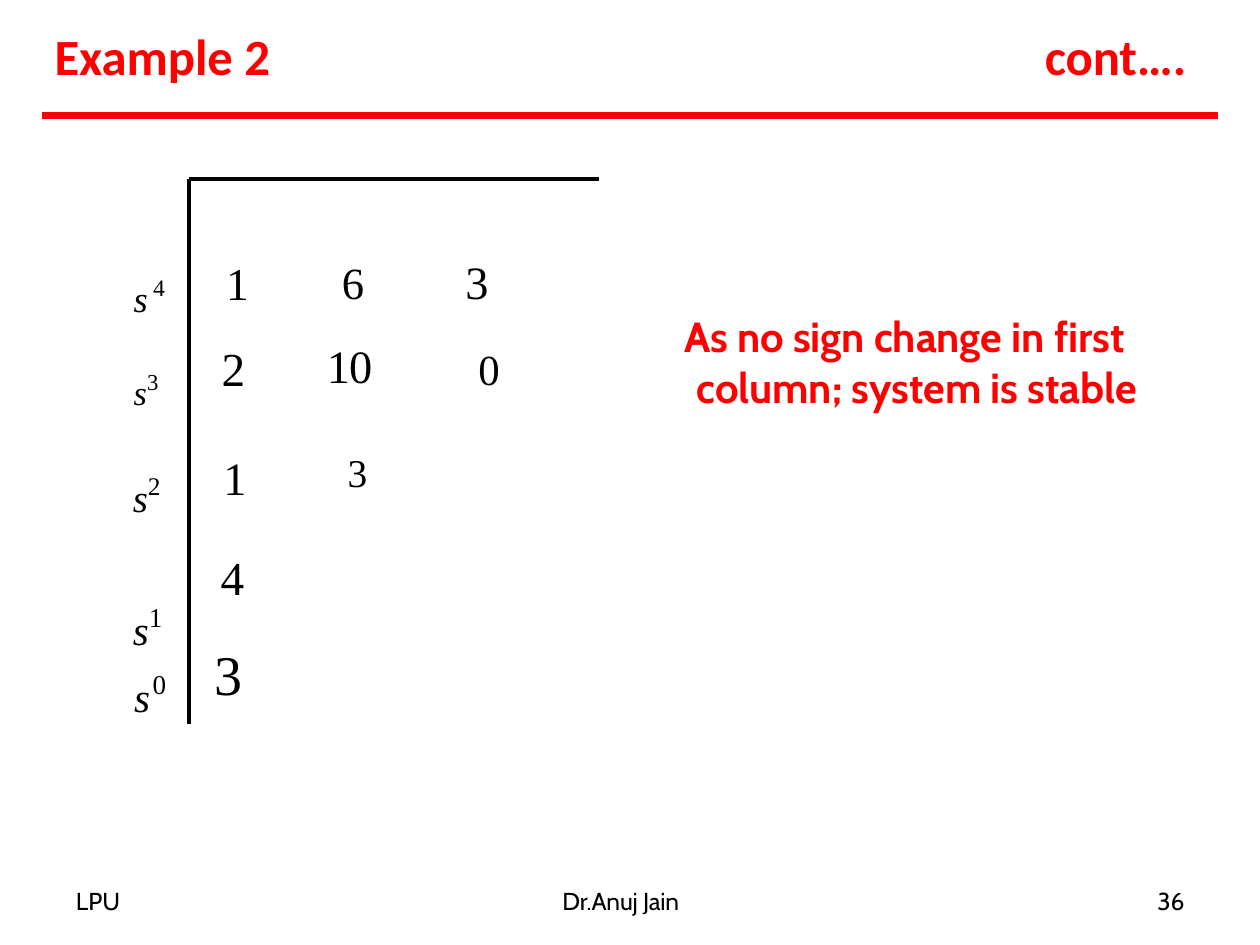
import pptx
import pptx.util
import pptx.dml.color
import pptx.enum.shapes
import pptx.enum.text
import lxml.etree

theme = {
    "red": pptx.dml.color.RGBColor(255, 0, 0),
    "black": pptx.dml.color.RGBColor(0, 0, 0),
    "heading": ("Calibri", 29),
    "note": ("Cabin", 24),
    "footer": ("Cabin", 14),
    "math": "Times New Roman",
}

deck = pptx.Presentation()
deck.slide_width = pptx.util.Inches(10)
deck.slide_height = pptx.util.Inches(7.5)
column = deck.slide_width / 100
row = deck.slide_height / 75
page = deck.slides.add_slide(deck.slide_layouts[5])


def place(box, left, top, width, height, inset=0.13):
    box.left, box.width = int(left * column), int(width * column)
    box.top, box.height = int(top * row), int(height * row)
    frame = box.text_frame
    frame.margin_left = frame.margin_right = frame.margin_bottom = 0
    frame.margin_top = int(inset * row)
    frame.word_wrap = True
    frame.auto_size = pptx.enum.text.MSO_AUTO_SIZE.NONE
    frame.vertical_anchor = pptx.enum.text.MSO_ANCHOR.TOP
    return frame


def style(para, name, size, color, bold=False, indent=0.13, before=0, spacing=0):
    para._p.get_or_add_pPr().set("marL", str(int(indent * column)))
    para.alignment = pptx.enum.text.PP_ALIGN.LEFT
    para.space_before = pptx.util.Pt(before)
    para.font.name = name
    if size:
        para.font.size = pptx.util.Pt(size)
    para.font.bold = bold
    para.font.color.rgb = color
    for span in para.runs:
        span._r.get_or_add_rPr().set("spc", str(round(spacing * 100)))


power_boxes = [
    (10.2, 18.4, 3.7, 4.3, [("4", 36, 13.5, 3.1, 0)]),
    (10.2, 26.2, 3, 4, [("3", 33.8, 13, 0.2, 0)]),
    (10.15, 33.9, 3, 11.9, [("2", 38.2, 14.5, -1.4, 0), ("1", 40.5, 15.5, -3.2, 20.9)]),
    (10.25, 49.35, 3.6, 4.8, [("0", 40.5, 15.5, 1.4, 0)]),
]
for left, top, width, height, powers in power_boxes:
    frame = place(page.shapes.add_textbox(0, 0, 0, 0), left, top, width, height)
    for index, (power, base_size, power_size, spacing, before) in enumerate(powers):
        para = frame.add_paragraph() if index else frame.paragraphs[0]
        style(para, theme["math"], None, theme["black"], indent=0.4, before=before)
        span = para.add_run()
        span.text = "s"
        span.font.size = pptx.util.Pt(base_size)
        span.font.italic = True
        properties = span._r.get_or_add_rPr()
        properties.set("baseline", "-25000")
        properties.set("spc", str(round(spacing * 100)))
        span = para.add_run()
        span.text = power
        span.font.size = pptx.util.Pt(power_size)

value_boxes = [
    (17.5, 17.85, 2.4, 13.7, 2.4, [("1", 26, 0.45, 0, -0.4), ("2", 27, 0.1, 16.6, -1.4)]),
    (25.8, 17.85, 4, 13.4, 2.4, [("6", 25.5, 1.33, 0, -2.2), ("10", 26.5, 0.15, 16.2, -0.5)]),
    (36.8, 19.95, 3.2, 11.5, 0.13, [("3", 26.5, 0.13, 0, -0.3), ("0", 24.5, 1.17, 19.6, 0.9)]),
    (17.6, 35.55, 2.3, 4.7, 0.13, [("1", 26.5, 0.13, 0, 1.4)]),
    (27.5, 35.4, 1.8, 4.1, 0.2, [("3", 22.5, 0.1, 0, -0.8)]),
    (16.9, 41.1, 2.5, 15.1, 2.4, [("4", 27, 0.6, 0, -0.9), ("3", 32, 0.1, 19.6, -3)]),
]
for left, top, width, height, inset, values in value_boxes:
    frame = place(page.shapes.add_textbox(0, 0, 0, 0), left, top, width, height, inset)
    for index, (value, size, indent, before, spacing) in enumerate(values):
        para = frame.add_paragraph() if index else frame.paragraphs[0]
        para.text = value
        style(para, theme["math"], size, theme["black"],
              indent=indent, before=before, spacing=spacing)

corner = (int(15 * column), int(14.2 * row))
outline = page.shapes.build_freeform(*corner)
outline.add_line_segments([(corner[0], int(57.5 * row))], close=False)
outline.move_to(*corner)
outline.add_line_segments([(int(47.5 * column), corner[1])], close=False)
axes = outline.convert_to_shape()
axes.fill.background()
axes.line.color.rgb = theme["black"]
axes.line.width = pptx.util.Pt(2.04)
axes.shadow.inherit = False

rule = page.shapes.add_connector(
    pptx.enum.shapes.MSO_CONNECTOR.STRAIGHT,
    int(3.3 * column), int(9.2 * row), int(96.7 * column), int(9.2 * row))
rule.line.color.rgb = theme["red"]
rule.line.width = pptx.util.Pt(3.96)
lxml.etree.SubElement(
    rule._element.spPr, "{http://schemas.openxmlformats.org/drawingml/2006/main}effectLst")

title = place(page.shapes.title, 4.2, 1.8, 17.4, 5.1)
title.text = "Example 2"
style(title.paragraphs[0], *theme["heading"], theme["red"], bold=True, spacing=-0.05)

labels = [
    ("cont….", 82.8, 1.8, 12.5, 5.1, "heading", "red", True, 0.13, -0.1),
    ("As no sign change in first column; system is stable",
     54.2, 24.55, 42.5, 8.3, "note", "red", True, 1.1, -0.05),
    ("LPU", 5.9, 70.2, 9.2, 2.5, "footer", "black", False, 0.13, 0),
    ("Dr.Anuj Jain", 44.5, 70.2, 11, 2.5, "footer", "black", False, 0.13, -0.1),
    ("36", 91.45, 70.2, 3, 2.6, "footer", "black", False, 0.4, 0),
]
for text, left, top, width, height, kind, color, bold, indent, spacing in labels:
    frame = place(page.shapes.add_textbox(0, 0, 0, 0), left, top, width, height)
    para = frame.paragraphs[0]
    para.text = text
    style(para, *theme[kind], theme[color], bold=bold, indent=indent, spacing=spacing)
    if kind == "note":
        para._p.get_or_add_pPr().set("indent", str(int(-column)))

deck.save("out.pptx")
